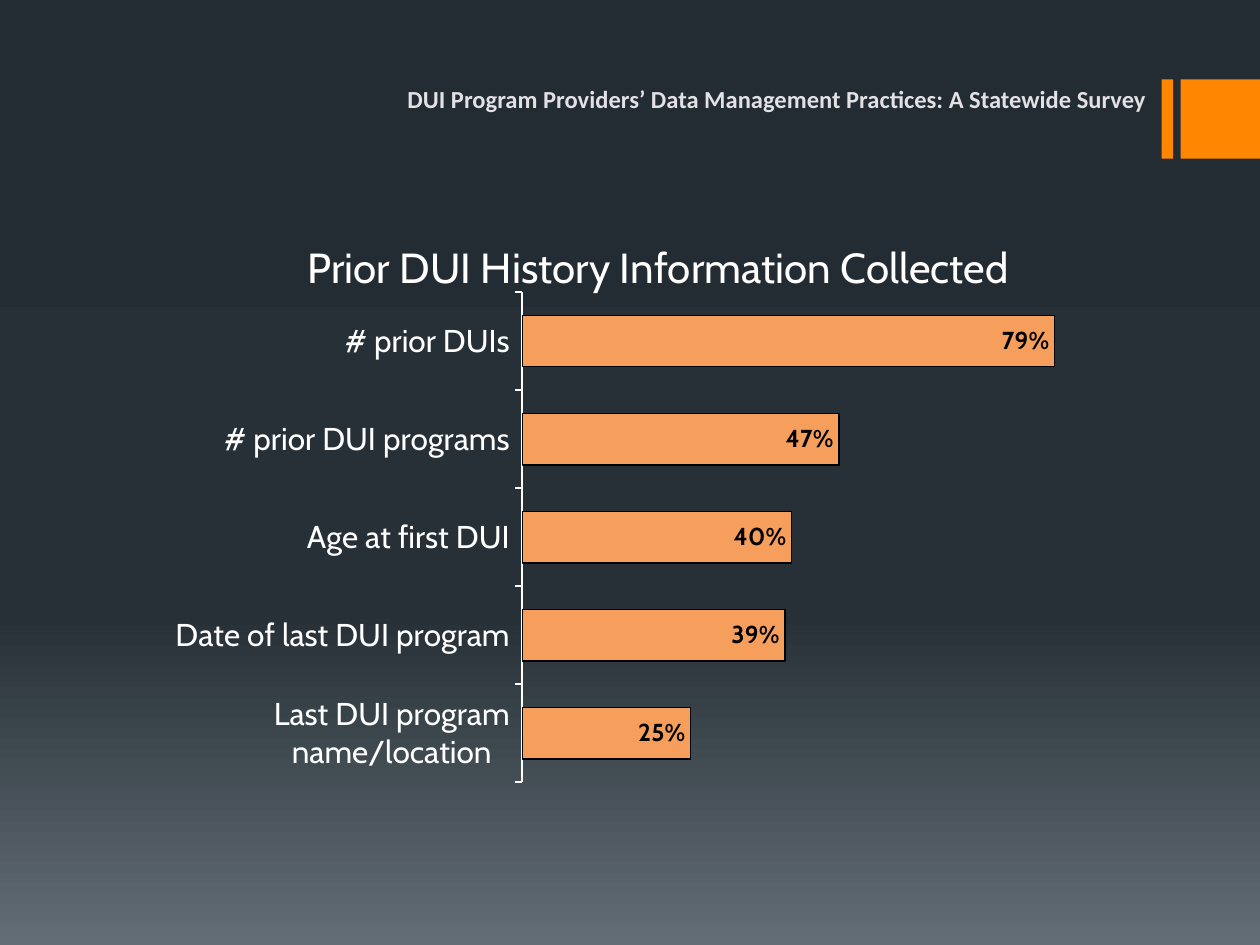
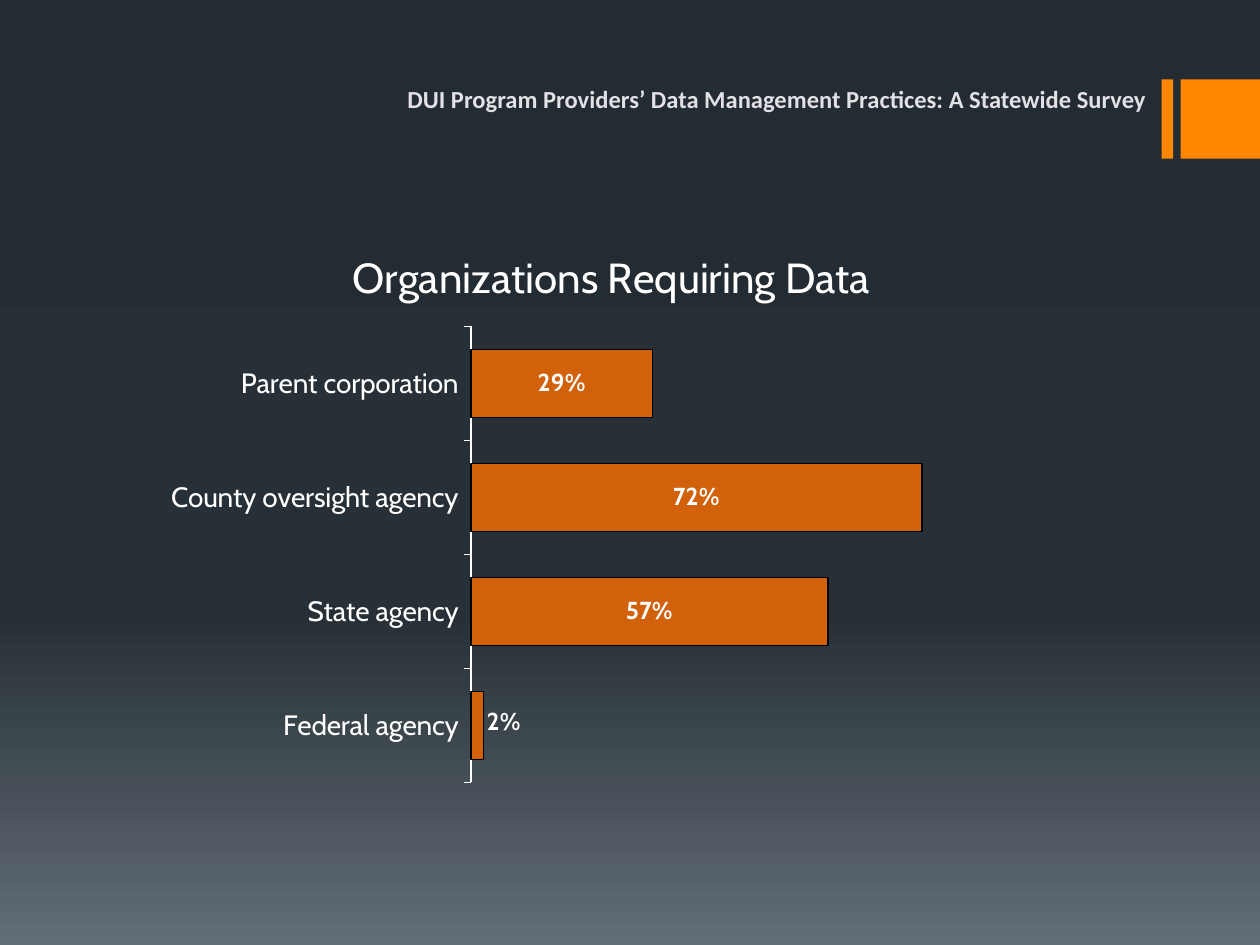
from lxml import etree
from pptx import Presentation
from pptx.chart.data import CategoryChartData
from pptx.dml.color import RGBColor
from pptx.enum.chart import XL_CHART_TYPE, XL_LABEL_POSITION, XL_TICK_MARK
from pptx.enum.shapes import MSO_SHAPE
from pptx.enum.text import MSO_ANCHOR, PP_ALIGN
from pptx.oxml.ns import qn
from pptx.util import Inches, Pt

RECTANGLE = MSO_SHAPE.RECTANGLE
CLUSTERED = XL_CHART_TYPE.BAR_CLUSTERED
STACKED = XL_CHART_TYPE.BAR_STACKED
INSIDE_END = XL_LABEL_POSITION.INSIDE_END
CENTER = XL_LABEL_POSITION.CENTER
TICK_OUT = XL_TICK_MARK.OUTSIDE
TICK_NONE = XL_TICK_MARK.NONE
TOP = MSO_ANCHOR.TOP
RIGHT = PP_ALIGN.RIGHT

WIDTH, HEIGHT = 10, 7.5
TITLE_ONLY = 5
BACKDROP = [(0, "242C33"), (65, "273037"), (100, "636D76")]
ACCENT, HEADER_GREY = "FF8600", "E2E1E5"
WHITE, BLACK = "FFFFFF", "000000"
PEACH, RUST = "F69E5C", "D2610C"
HEADER_FONT, CHART_FONT, BASE_FONT = "Calibri", "Cabin", "Arial"
HEADER = "DUI Program Providers’ Data Management Practices: A Statewide Survey"
BAND_TOP = BAND_SIZE = 0.63
PERCENT = "0%"


def color(hex_text):
    return RGBColor.from_string(hex_text)


def place(left, top, width, height):
    return [Inches(length) for length in (left, top, width, height)]


def style_font(font, size, fill=WHITE, name=CHART_FONT, bold=False):
    font.size = Pt(size)
    font.name = name
    font.bold = bold
    font.color.rgb = color(fill)


def paint_backdrop(master):
    fill = master.background.fill
    fill.gradient()
    gradient = master.element.find(".//" + qn("a:gradFill"))
    for child in list(gradient):
        gradient.remove(child)
    stops = etree.SubElement(gradient, qn("a:gsLst"))
    for share, shade in BACKDROP:
        stop = etree.SubElement(stops, qn("a:gs"), pos=str(share * 1000))
        etree.SubElement(stop, qn("a:srgbClr"), val=shade)
    etree.SubElement(gradient, qn("a:lin"), ang="5400000", scaled="0")


def add_band(page, left, width):
    band = page.shapes.add_shape(
        RECTANGLE, *place(left, BAND_TOP, width, BAND_SIZE))
    band.shadow.inherit = False
    band.fill.solid()
    band.fill.fore_color.rgb = color(ACCENT)
    band.line.fill.background()


def format_title(title, text, **font_format):
    title.left, title.top, title.width, title.height = place(
        1.67, 0.67, 7.53, 0.33)
    frame = title.text_frame
    frame.word_wrap = True
    frame.vertical_anchor = TOP
    frame.margin_left = frame.margin_right = Inches(0.1)
    frame.margin_top, frame.margin_bottom = 0, Inches(0.05)
    para = frame.paragraphs[0]
    para.alignment = RIGHT
    span = para.add_run()
    span.text = text
    style_font(span.font, **font_format)


def add_page(deck):
    page = deck.slides.add_slide(deck.slide_layouts[TITLE_ONLY])
    add_band(page, 9.22, 0.09)
    add_band(page, WIDTH - BAND_SIZE, BAND_SIZE)
    format_title(page.shapes.title, HEADER, size=14, fill=HEADER_GREY,
                 name=HEADER_FONT, bold=True)
    return page


def set_layout(parent, position, **settings):
    for old in parent.findall(qn("c:layout")):
        parent.remove(old)
    layout = etree.Element(qn("c:layout"))
    manual = etree.SubElement(layout, qn("c:manualLayout"))
    for name, value in settings.items():
        etree.SubElement(manual, qn("c:" + name), val=str(value))
    parent.insert(position, layout)


def format_chart_title(chart, text, left, top):
    chart.has_title = True
    frame = chart.chart_title.text_frame
    span = frame.paragraphs[0].add_run()
    span.text = text
    style_font(span.font, 24)
    set_layout(chart.chart_title._element, 1,
               xMode="edge", yMode="edge", x=left, y=top)


def format_axes(chart, size, maximum):
    categories, values = chart.category_axis, chart.value_axis
    style_font(categories.tick_labels.font, size)
    categories.major_tick_mark = TICK_OUT
    categories.minor_tick_mark = TICK_NONE
    categories.has_major_gridlines = False
    categories.format.line.color.rgb = color(WHITE)
    categories.format.line.width = Pt(1)
    values.has_major_gridlines = False
    values.minimum_scale, values.maximum_scale = 0, maximum
    values.visible = False


def format_bars(plot, fill, gap, label_fill, label_position):
    plot.vary_by_categories = False
    plot.gap_width = gap
    series = plot.series[0]
    series.invert_if_negative = False
    series.format.fill.solid()
    series.format.fill.fore_color.rgb = color(fill)
    series.format.line.color.rgb = color(BLACK)
    series.format.line.width = Pt(0.75)
    labels = series.data_labels
    labels.show_value = True
    labels.number_format = PERCENT
    labels.number_format_is_linked = False
    labels.position = label_position
    style_font(labels.font, 14, label_fill, bold=True)


def shift_label(chart, index, across, down):
    label = chart.plots[0].series[0].points[index].data_label
    style_font(label.font, 14, bold=True)
    label.position = CENTER
    element = chart.element.find(".//" + qn("c:dLbl"))
    set_layout(element, 1, x=across, y=down)
    number_format = etree.Element(
        qn("c:numFmt"), formatCode=PERCENT, sourceLinked="0")
    element.insert(2, number_format)


def add_bar_chart(page, kind, box, title, title_at, shares, plot_box,
                  axis_size, maximum, **bar_format):
    data = CategoryChartData(number_format=PERCENT)
    data.categories = list(shares)
    data.add_series("Series 1", list(shares.values()))
    chart = page.shapes.add_chart(kind, *place(*box), data).chart
    chart.has_legend = False
    style_font(chart.font, 10, name=BASE_FONT)
    format_chart_title(chart, title, *title_at)
    format_axes(chart, axis_size, maximum)
    format_bars(chart.plots[0], **bar_format)
    left, top, width, height = plot_box
    set_layout(chart.element.find(".//" + qn("c:plotArea")), 0,
               layoutTarget="inner", xMode="edge", yMode="edge",
               x=left, y=top, w=width, h=height)
    return chart


def build_history_page(deck):
    shares = {
        "Last DUI program name/location": 0.25,
        "Date of last DUI program": 0.39,
        "Age at first DUI": 0.4,
        "# prior DUI programs": 0.47,
        "# prior DUIs": 0.79,
    }
    add_bar_chart(
        add_page(deck), CLUSTERED, (0.67, 1.58, 9, 4.92),
        "Prior DUI History Information Collected", (0.19, 0.05), shares,
        (0.386, 0.15, 0.535, 0.791), axis_size=18, maximum=0.9,
        fill=PEACH, gap=90, label_fill=BLACK, label_position=INSIDE_END)


def build_organizations_page(deck):
    shares = {
        "Federal agency": 0.02,
        "State agency": 0.57,
        "County oversight agency": 0.72,
        "Parent corporation": 0.29,
    }
    chart = add_bar_chart(
        add_page(deck), STACKED, (1.17, 1.67, 7.83, 4.75),
        "Organizations Requiring Data", (0.2, 0.05), shares,
        (0.328, 0.194, 0.635, 0.762), axis_size=16, maximum=1,
        fill=RUST, gap=68, label_fill=WHITE, label_position=CENTER)
    chart.plots[0].overlap = 100
    shift_label(chart, 0, 0.027, -0.005)


def main():
    deck = Presentation()
    deck.slide_width, deck.slide_height = Inches(WIDTH), Inches(HEIGHT)
    paint_backdrop(deck.slide_master)
    build_history_page(deck)
    build_organizations_page(deck)
    deck.save("out.pptx")


main()
